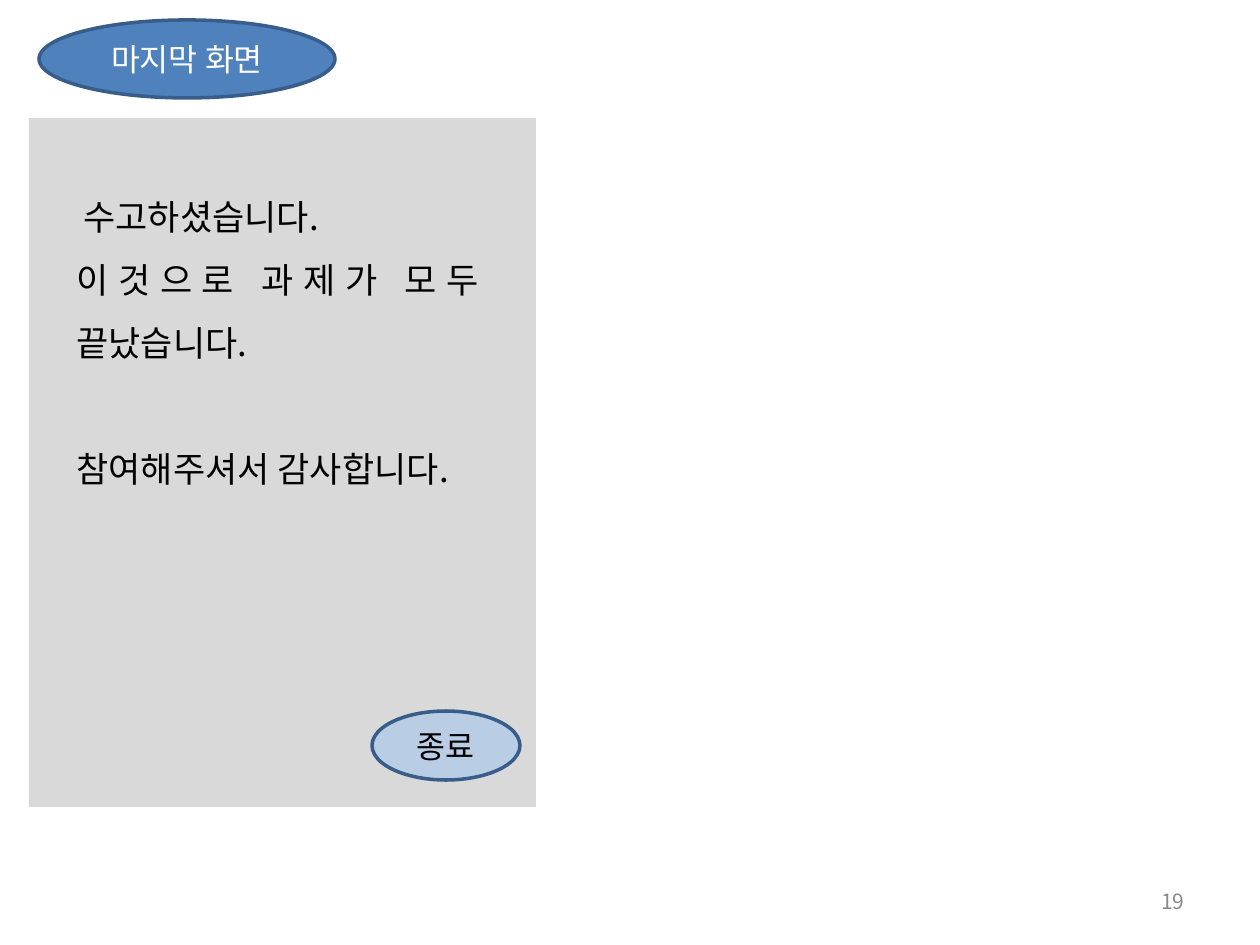
from lxml.etree import SubElement
from pptx import Presentation
from pptx.dml.color import RGBColor
from pptx.enum.shapes import MSO_SHAPE as Shape
from pptx.enum.text import MSO_ANCHOR as Anchor, PP_ALIGN as Align
from pptx.oxml.ns import qn
from pptx.util import Emu, Pt

FONT = "Noto Sans CJK KR"
COLORS = {
    "panel": "D9D9D9",
    "heading": "4F81BD",
    "button": "B9CDE5",
    "outline": "385D8A",
    "white": "FFFFFF",
    "black": "000000",
    "number": "898989",
}


def px(*lengths):
    return [Emu(round(length * 914400 / 126)) for length in lengths]


def add_text(paragraph, text, size=18, color="black", align=Align.CENTER):
    paragraph.alignment = align
    run = paragraph.add_run()
    run.text = text
    run.font.size = Pt(size)
    run.font.name = FONT
    run.font.color.rgb = RGBColor.from_string(COLORS[color])
    SubElement(run.font._element, qn("a:ea"), typeface=FONT)


presentation = Presentation()
presentation.slide_width, presentation.slide_height = px(1260, 945)
slide = presentation.slides.add_slide(presentation.slide_layouts[6])

# Screen panel
panel = slide.shapes.add_shape(Shape.RECTANGLE, *px(29, 118, 507, 689))
panel.shadow.inherit = False
panel.fill.solid()
panel.fill.fore_color.rgb = RGBColor.from_string(COLORS["panel"])
panel.line.fill.background()

# Closing message: first-line indent, space before
message = slide.shapes.add_textbox(*px(64, 168, 427, 362)).text_frame
message.word_wrap = True
lines = [
    ("수고하셨습니다.", 7, 0),
    ("이것으로 과제가 모두 끝났습니다.", 0, 0),
    ("참여해주셔서 감사합니다.", 0, 36),
]
for index, (text, indent, space) in enumerate(lines):
    paragraph = message.add_paragraph() if index else message.paragraphs[0]
    paragraph.line_spacing = Pt(36)
    if space:
        paragraph.space_before = Pt(space)
    if indent:
        paragraph._p.get_or_add_pPr().set("indent", str(px(indent)[0]))
    add_text(paragraph, text, size=20, align=Align.JUSTIFY)

# Heading and exit button
ellipses = [
    ("마지막 화면", (39, 20, 296, 78), "heading", "white"),
    ("종료", (372, 711, 148, 69), "button", "black"),
]
for text, box, fill, color in ellipses:
    ellipse = slide.shapes.add_shape(Shape.OVAL, *px(*box))
    ellipse.shadow.inherit = False
    ellipse.fill.solid()
    ellipse.fill.fore_color.rgb = RGBColor.from_string(COLORS[fill])
    ellipse.line.color.rgb = RGBColor.from_string(COLORS["outline"])
    ellipse.line.width = Pt(2)
    ellipse.text_frame.vertical_anchor = Anchor.MIDDLE
    add_text(ellipse.text_frame.paragraphs[0], text, color=color)

# Slide number
number = slide.shapes.add_textbox(*px(903, 876, 294, 50)).text_frame
number.word_wrap = True
number.vertical_anchor = Anchor.MIDDLE
add_text(number.paragraphs[0], "19", size=12, color="number", align=Align.RIGHT)

presentation.save("out.pptx")
